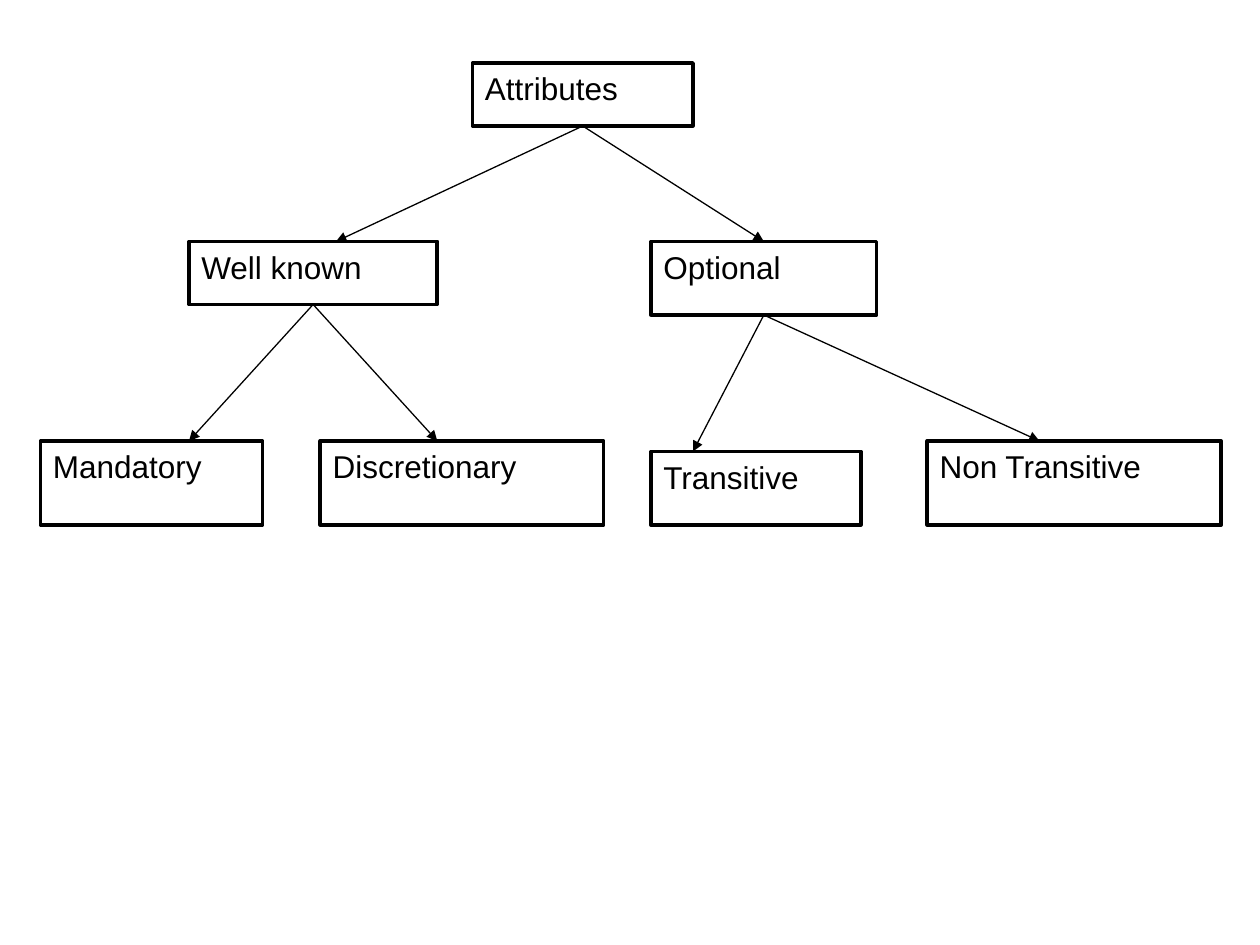
from lxml.etree import SubElement
from pptx import Presentation
from pptx.dml.color import RGBColor
from pptx.enum.shapes import MSO_CONNECTOR, MSO_SHAPE
from pptx.enum.text import MSO_ANCHOR, PP_ALIGN
from pptx.oxml.ns import qn
from pptx.util import Inches, Pt

WIDTH, HEIGHT = 10, 7.5
COLS, ROWS = 120, 90
BLACK, WHITE = "000000", "FFFFFF"
TOP, BOTTOM = 0, 2

# name: (column, row, columns wide, rows high)
BOXES = {
    "Attributes": (45, 6, 21, 6),
    "Well known": (18, 23, 23.65, 6),
    "Optional": (62, 23, 21.5, 7),
    "Mandatory": (3.85, 42, 21.15, 8),
    "Discretionary": (30.5, 42, 27, 8),
    "Transitive": (62, 43, 20, 7),
    "Non Transitive": (88.3, 42, 28, 8),
}
# parent, child, column of the tip (None: middle of the child's top)
ARROWS = [
    ("Attributes", "Well known", 32),
    ("Attributes", "Optional", None),
    ("Well known", "Mandatory", 18),
    ("Well known", "Discretionary", 41.65),
    ("Optional", "Transitive", 66),
    ("Optional", "Non Transitive", 99),
]


def color(value):
    return RGBColor.from_string(value)


def x(col):
    return Inches(WIDTH * col / COLS)


def y(row):
    return Inches(HEIGHT * row / ROWS)


def write(tf, text, size=18, font="Arial", fill=BLACK, align=PP_ALIGN.LEFT):
    tf.word_wrap = True
    tf.vertical_anchor = MSO_ANCHOR.TOP
    p = tf.paragraphs[0]
    p.alignment = align
    r = p.add_run()
    r.text = text
    r.font.size = Pt(size)
    r.font.name = font
    r.font.color.rgb = color(fill)


def add_box(s, text, col, row, cols, rows):
    sp = s.shapes.add_shape(MSO_SHAPE.RECTANGLE, x(col), y(row), x(cols), y(rows))
    sp.shadow.inherit = False
    sp.fill.solid()
    sp.fill.fore_color.rgb = color(WHITE)
    sp.line.color.rgb = color(BLACK)
    sp.line.width = Pt(2)
    write(sp.text_frame, text)
    return sp


def add_arrow(s, parent, child, tip):
    end_x = child.left if tip is None else x(tip)
    cxn = s.shapes.add_connector(MSO_CONNECTOR.STRAIGHT, 0, 0, end_x, child.top)
    cxn.begin_connect(parent, BOTTOM)
    if tip is None:
        cxn.end_connect(child, TOP)
    cxn.line.color.rgb = color(BLACK)
    cxn.line.width = Pt(0.75)
    SubElement(cxn.line._get_or_add_ln(), qn("a:tailEnd"), type="triangle")
    SubElement(cxn._element.spPr, qn("a:effectLst"))


def main():
    prs = Presentation()
    prs.slide_width, prs.slide_height = Inches(WIDTH), Inches(HEIGHT)
    s = prs.slides.add_slide(prs.slide_layouts[6])
    boxes = {name: add_box(s, name, *place) for name, place in BOXES.items()}
    for parent, child, tip in ARROWS:
        add_arrow(s, boxes[parent], boxes[child], tip)
    prs.save("out.pptx")


if __name__ == "__main__":
    main()
